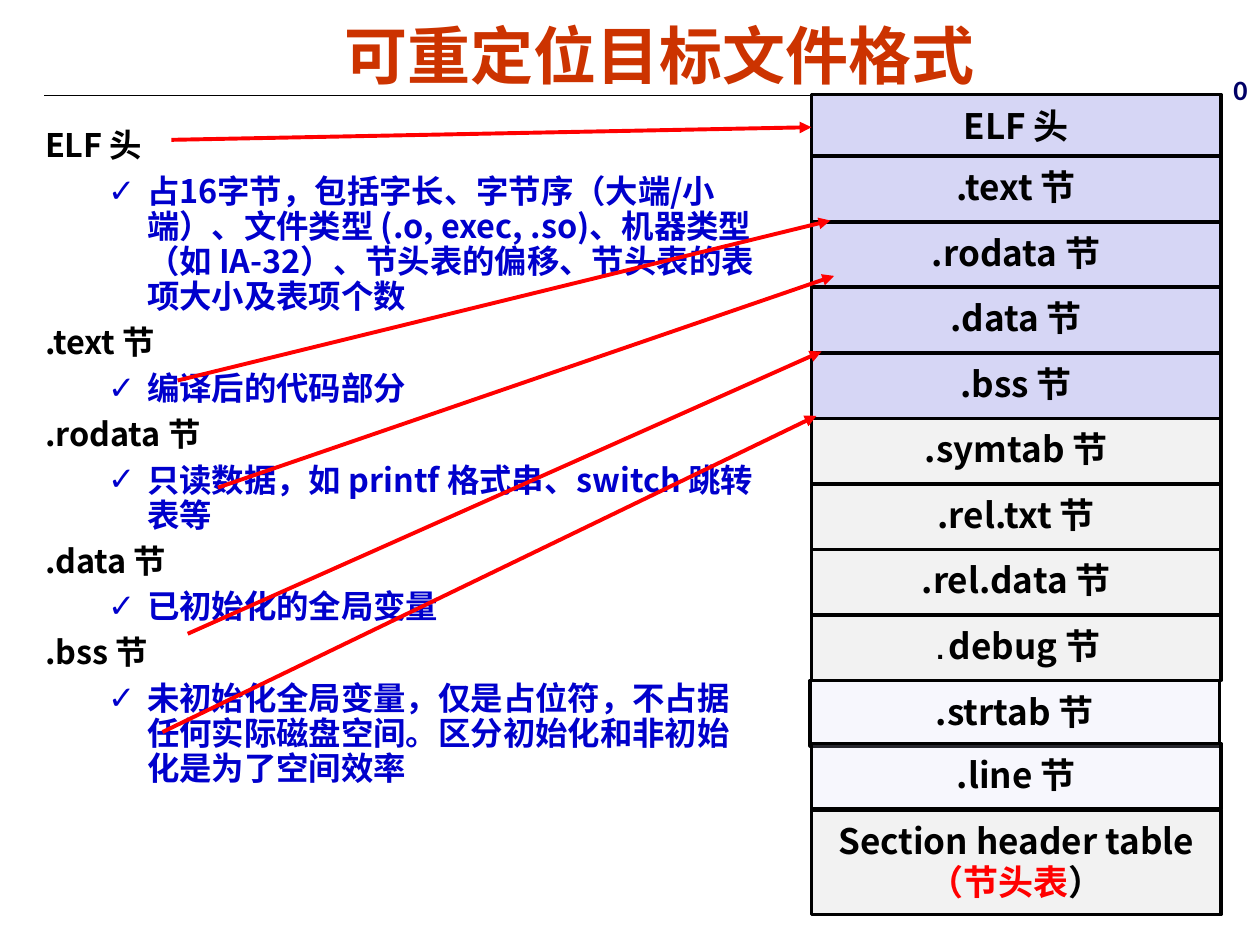
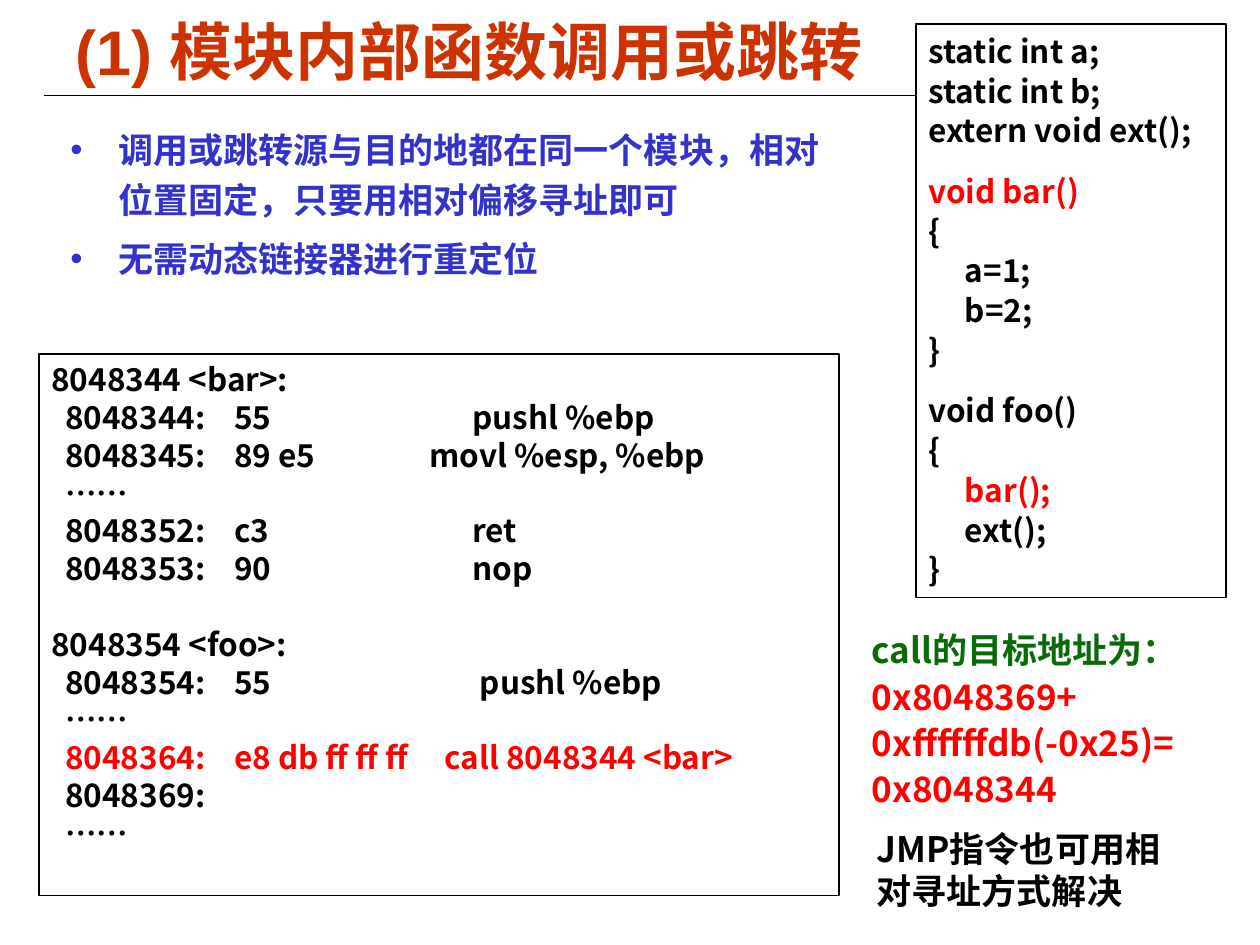
from lxml.etree import SubElement
from pptx import Presentation
from pptx.dml.color import RGBColor
from pptx.enum.shapes import MSO_CONNECTOR, MSO_SHAPE
from pptx.enum.text import MSO_ANCHOR, PP_ALIGN
from pptx.oxml.ns import qn
from pptx.util import Inches, Pt

NOTO = "Noto Sans CJK SC"
BLACK, WHITE, RED, BLUE = "000000", "FFFFFF", "FF0000", "0000CC"
RUST, INDIGO, GREEN, NAVY = "CC3300", "3333CC", "0A6A0A", "000066"
LILAC, GREY = "D6D6F5", "F2F2F2"


def paint(color, code):
    color.rgb = RGBColor.from_string(code)


def style(run, size, code, font=NOTO):
    run.font.size = Pt(size)
    run.font.bold = True
    run.font.name = font
    run.font.fill.solid()
    paint(run.font.fill.fore_color, code)
    SubElement(run.font._element, qn("a:ea"), typeface=font)


def write(para, text, size, code=BLACK, font=NOTO, align=PP_ALIGN.LEFT,
          lead=1.0, before=0):
    para.text = text
    para.alignment = align
    para.line_spacing = lead
    para.space_before = Pt(before)
    for run in para.runs:
        style(run, size, code, font)


def extend(para, text, size, code=BLACK):
    run = para.add_run()
    run.text = text
    style(run, size, code)


def indent(para, left, hang=0):
    props = para._p.get_or_add_pPr()
    props.set("marL", str(Inches(left)))
    props.set("indent", str(-Inches(hang)))
    return props


def bullet(para, mark, code, left, hang):
    props = indent(para, left, hang)
    color = SubElement(props, qn("a:buClr"))
    SubElement(color, qn("a:srgbClr"), val=code)
    SubElement(props, qn("a:buFont"), typeface="Arial")
    SubElement(props, qn("a:buChar"), char=mark)


def tabs(para, stops):
    items = SubElement(para._p.get_or_add_pPr(), qn("a:tabLst"))
    for stop in stops:
        SubElement(items, qn("a:tab"), pos=str(Inches(stop)), algn="l")


def paras(frame):
    yield frame.paragraphs[0]
    while True:
        yield frame.add_paragraph()


def label(slide, left, top, width, height, wrap=True):
    frame = slide.shapes.add_textbox(
        Inches(left), Inches(top), Inches(width), Inches(height)).text_frame
    frame.word_wrap = wrap
    return frame


def box(slide, left, top, width, height, fill=None, line=0.75, alpha=None):
    shape = slide.shapes.add_shape(
        MSO_SHAPE.RECTANGLE, Inches(left), Inches(top), Inches(width), Inches(height))
    shape.shadow.inherit = False
    if fill:
        shape.fill.solid()
        paint(shape.fill.fore_color, fill)
    else:
        shape.fill.background()
    if alpha:
        color = shape.fill._xPr.find(".//" + qn("a:srgbClr"))
        SubElement(color, qn("a:alpha"), val=str(alpha * 1000))
    paint(shape.line.color, BLACK)
    shape.line.width = Pt(line)
    shape.text_frame.word_wrap = True
    shape.text_frame.vertical_anchor = MSO_ANCHOR.TOP
    return shape


def rule(slide, start, end, code, width, arrow=False):
    line = slide.shapes.add_connector(
        MSO_CONNECTOR.STRAIGHT, *[Inches(n) for n in start + end])
    paint(line.line.color, code)
    line.line.width = Pt(width)
    if arrow:
        SubElement(line.line._get_or_add_ln(), qn("a:tailEnd"), type="triangle")
    SubElement(line._element.spPr, qn("a:effectLst"))
    return line


def open_slide(deck, title, place, align):
    slide = deck.slides.add_slide(deck.slide_layouts[6])
    rule(slide, (0.35, 0.76), (9.65, 0.76), BLACK, 0.75)
    frame = label(slide, *place)
    frame.vertical_anchor = MSO_ANCHOR.MIDDLE
    write(frame.paragraphs[0], title, 36, RUST, "Arial", align)
    return slide


def cell(slide, text, top, fill, height=0.52, alpha=None, left=6.44):
    shape = box(slide, left, top, 3.25, height, fill, 2, alpha)
    frame = shape.text_frame
    frame.word_wrap = False
    frame.vertical_anchor = MSO_ANCHOR.MIDDLE
    write(frame.paragraphs[0], text, 20, align=PP_ALIGN.CENTER, lead=0.94)
    return shape


def elf_map(slide):
    head = cell(slide, "ELF 头", 0.75, LILAC)
    names = [".text", ".rodata", ".data", ".bss", ".symtab", ".rel.txt", ".rel.data"]
    for i, name in enumerate(names):
        cell(slide, name + " 节", 1.24 + 0.52 * i, LILAC if i < 4 else GREY)

    debug = cell(slide, ".", 4.88, GREY).text_frame.paragraphs[0]
    style_dot = debug.runs[0].font
    style_dot.size, style_dot.name = Pt(16), "Courier New"
    extend(debug, "debug 节", 20)

    frame = cell(slide, "Section header table", 6.43, GREY, 0.83).text_frame
    frame.paragraphs[0].line_spacing = 0.98
    note = frame.add_paragraph()
    write(note, "（节头表", 20, RED, align=PP_ALIGN.CENTER, lead=0.98)
    extend(note, "）", 20)

    cell(slide, ".strtab 节", 5.4, LILAC, alpha=19, left=6.43)
    cell(slide, ".line 节", 5.9, LILAC, alpha=19)
    return head


def format_slide(deck):
    slide = open_slide(deck, "可重定位目标文件格式", (0.47, 0, 9.53, 0.86),
                       PP_ALIGN.CENTER)
    parts = [
        ("ELF 头", "占16字节，包括字长、字节序（大端/小端）、文件类型 (.o, exec, .so)、"
                  "机器类型（如 IA-32）、节头表的偏移、节头表的表项大小及表项个数"),
        (".text 节", "编译后的代码部分"),
        (".rodata 节", "只读数据，如 printf 格式串、switch 跳转表等"),
        (".data 节", "已初始化的全局变量"),
        (".bss 节", "未初始化全局变量，仅是占位符，不占据任何实际磁盘空间。"
                   "区分初始化和非初始化是为了空间效率"),
    ]
    lines = paras(label(slide, 0.26, 0.98, 5.85, 6.28))
    for name, about in parts:
        para = next(lines)
        write(para, name, 18.5, lead=0.9, before=6.2)
        indent(para, 0.38, 0.38)
        para = next(lines)
        write(para, about, 18.5, BLUE, lead=0.9, before=6.2)
        bullet(para, "✓", BLUE, 0.81, 0.31)

    head = elf_map(slide)
    zero = label(slide, 9.69, 0.54, 0.31, 0.36, wrap=False)
    write(zero.paragraphs[0], "0", 16, NAVY, "Calibri", lead=0.98)

    rule(slide, (1.36, 1.11), (6.44, 1.01), RED, 2.25, True).end_connect(head, 1)
    for start, end in [((1.41, 3.02), (6.59, 1.75)), ((1.73, 3.87), (6.62, 2.19)),
                       ((1.49, 5.03), (6.52, 2.79)), ((1.29, 5.81), (6.48, 3.3))]:
        rule(slide, start, end, RED, 2.25, True)


def source_box(slide):
    code = [
        ("static int a;", 0), ("static int b;", 0), ("extern void ext();", 0),
        ("void bar()", 0), ("{", 0), ("a=1;", 0.29), ("b=2;", 0.29), ("}", 0),
        ("void foo()", 0), ("{", 0), ("bar();", 0.29), ("ext();", 0.29), ("}", 0),
    ]
    frame = box(slide, 7.27, 0.19, 2.46, 4.55, WHITE).text_frame
    for para, (text, left) in zip(paras(frame), code):
        write(para, text, 18, RED if "bar" in text else BLACK, lead=1.05,
              before=12 if text.startswith("void") else 0)
        indent(para, left)


def dump_box(slide):
    dump = [
        ("8048344 <bar>:", 3.34),
        ("\t8048344:\t55\tpushl %ebp", 3.34),
        ("\t8048345:\t89 e5\tmovl %esp, %ebp", 3),
        ("\t……", 3.34),
        ("\t8048352:\tc3\tret", 3.34),
        ("\t8048353:\t90\tnop", 3.34),
        ("8048354 <foo>:", 3.34),
        ("\t8048354:\t55\tpushl %ebp", 3.4),
        ("\t……", 3.34),
        ("\t8048364:\te8 db ff ff ff\tcall 8048344 <bar>", 3.12),
        ("\t8048369:", 3.34),
        ("\t……", 3.34),
    ]
    frame = box(slide, 0.31, 2.81, 6.35, 4.3).text_frame
    for para, (text, stop) in zip(paras(frame), dump):
        write(para, text, 18, RED if "call" in text else BLACK,
              before=21.6 if "foo" in text else 0)
        tabs(para, (0.11, 1.45, stop))


def call_slide(deck):
    slide = open_slide(deck, "(1) 模块内部函数调用或跳转", (0.5, 0.09, 9, 0.61),
                       PP_ALIGN.LEFT)
    points = ["调用或跳转源与目的地都在同一个模块，相对位置固定，只要用相对偏移寻址即可",
              "无需动态链接器进行重定位"]
    lines = paras(label(slide, 0.46, 0.9, 6.36, 1.69))
    for text in points:
        para = next(lines)
        write(para, text, 20, INDIGO, lead=1.2, before=5)
        bullet(para, "•", INDIGO, 0.38, 0.38)

    source_box(slide)
    dump_box(slide)

    lines = paras(label(slide, 6.82, 4.94, 2.86, 1.54))
    write(next(lines), "call的目标地址为：", 20, GREEN, before=2.5)
    for text in ("0x8048369+", "0xffffffdb(-0x25)=", "0x8048344"):
        write(next(lines), text, 20, RED, before=2.5)
    jump = label(slide, 6.86, 6.52, 2.54, 0.77)
    write(jump.paragraphs[0], "JMP指令也可用相对寻址方式解决", 20, before=12.5)


def main():
    deck = Presentation()
    deck.slide_width, deck.slide_height = Inches(10), Inches(7.5)
    format_slide(deck)
    call_slide(deck)
    deck.save("out.pptx")


if __name__ == "__main__":
    main()
